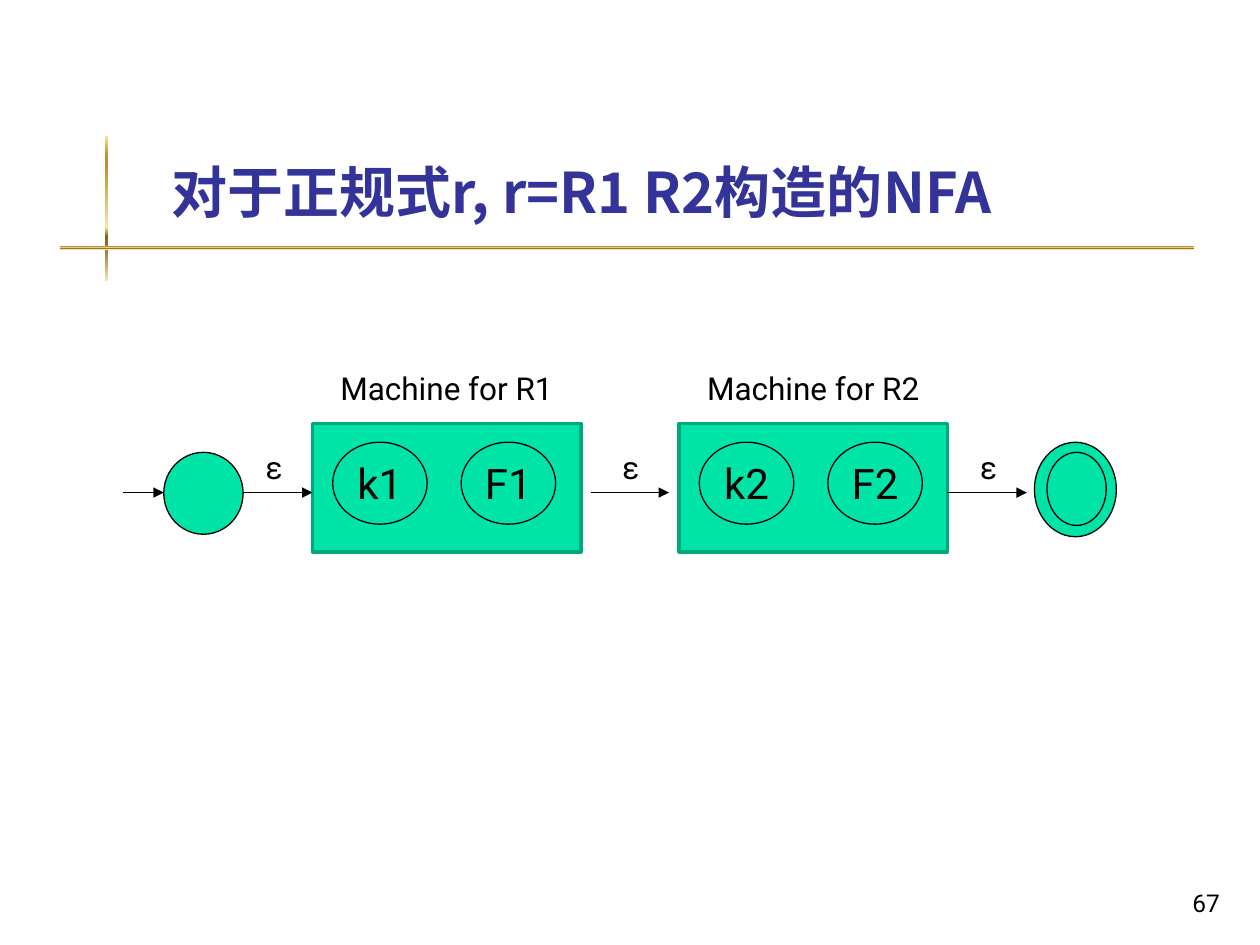
from typing import NamedTuple, Optional

from lxml import etree
from pptx import Presentation
from pptx import util as u
from pptx.dml.color import RGBColor
from pptx.enum import shapes as es, text as et
from pptx.oxml import ns

WIDTH, HEIGHT = u.Inches(10), u.Inches(7.5)
BLACK = RGBColor(0x00, 0x00, 0x00)
NAVY = RGBColor(0x33, 0x33, 0x99)
GREEN = RGBColor(0x00, 0xE4, 0xA8)
EDGE = RGBColor(0x00, 0xA9, 0x7C)
CREAM = RGBColor(0xFB, 0xE4, 0xAE)
GOLD = RGBColor(0xBD, 0x92, 0x2A)
BROWN = RGBColor(0x83, 0x5E, 0x17)
KHAKI = RGBColor(0xA2, 0x89, 0x49)
SAND = RGBColor(0xFA, 0xE3, 0xB7)
STOPS = ((0, CREAM), (13, GOLD), (21, GOLD), (63, CREAM),
         (67, GOLD), (69, BROWN), (82, KHAKI), (100, SAND))

BODY = {"name": "Roboto", "size": u.Pt(18), "bold": False}
STATE = {**BODY, "size": u.Pt(24)}
PAGE = {**BODY, "size": u.Pt(14)}
HEAD = {"name": "Noto Sans CJK JP", "size": u.Pt(32), "bold": True}
LEFT, MID, RIGHT = et.PP_ALIGN.LEFT, et.PP_ALIGN.CENTER, et.PP_ALIGN.RIGHT
TOP, CORE, BASE = et.MSO_ANCHOR.TOP, et.MSO_ANCHOR.MIDDLE, et.MSO_ANCHOR.BOTTOM
OVAL, RECT = es.MSO_SHAPE.OVAL, es.MSO_SHAPE.RECTANGLE

AXIS = 52.13
ROW = 46.8


class Box(NamedTuple):
    """Left, top, width and height in percent of the slide."""
    x: float
    y: float
    w: float
    h: float


class Machine(NamedTuple):
    x: float
    label: str
    states: tuple


class Arrow(NamedTuple):
    start: float
    end: float
    label_x: Optional[float] = None


MACHINES = (Machine(24.8, "Machine for R1", ("k1", "F1")),
            Machine(53.9, "Machine for R2", ("k2", "F2")))
ARROWS = (Arrow(9.8, 13), Arrow(19.3, 24.8, 20.1),
          Arrow(46.9, 53.1, 48.4), Arrow(75.2, 81.5, 76.8))
RULES = (Box(8.3, 14.4, 0.3, 15.33), Box(4.8, 26, 90, 0.4))
NODES = (Box(13, 47.87, 6.3, 8.67), Box(82.1, ROW, 6.5, 10),
         Box(83.1, 47.87, 4.7, 7.73))


def across(share: float) -> int:
    return round(WIDTH * share / 100)


def down(share: float) -> int:
    return round(HEIGHT * share / 100)


def frame(box: Box) -> tuple:
    return across(box.x), down(box.y), across(box.w), down(box.h)


def write(shape, words: str, style: dict, color: RGBColor, align, anchor,
          wrap: bool = True) -> None:
    area = shape.text_frame
    area.text = words
    area.word_wrap = wrap
    area.vertical_anchor = anchor
    para = area.paragraphs[0]
    para.alignment = align
    font = para.runs[0].font
    for key, value in style.items():
        setattr(font, key, value)
    font.color.rgb = color
    east = etree.SubElement(font._element, ns.qn("a:ea"))
    east.set("typeface", style["name"])


def label(slide, box: Box, words: str, style: dict, align, anchor=TOP) -> None:
    write(slide.shapes.add_textbox(*frame(box)), words, style, BLACK, align, anchor)


def solid(slide, kind, box: Box, edge: RGBColor = BLACK, weight: float = 0.75):
    shape = slide.shapes.add_shape(kind, *frame(box))
    shape.shadow.inherit = False
    shape.fill.solid()
    shape.fill.fore_color.rgb = GREEN
    shape.line.color.rgb = edge
    shape.line.width = u.Pt(weight)
    return shape


def rule(slide, box: Box) -> None:
    shape = slide.shapes.add_shape(RECT, *frame(box))
    shape.shadow.inherit = False
    shape.line.fill.background()
    shape.fill.gradient()
    shape.fill.gradient_angle = 270
    stops = shape._element.spPr.find(".//" + ns.qn("a:gsLst"))
    for old in list(stops):
        stops.remove(old)
    for place, color in STOPS:
        stop = etree.SubElement(stops, ns.qn("a:gs"), pos=str(place * 1000))
        etree.SubElement(stop, ns.qn("a:srgbClr"), val=str(color))


def arrow(slide, item: Arrow) -> None:
    line = slide.shapes.add_connector(
        es.MSO_CONNECTOR.STRAIGHT, across(item.start), down(AXIS),
        across(item.end), down(AXIS))
    line.line.color.rgb = BLACK
    line.line.width = u.Pt(0.75)
    etree.SubElement(line.line._get_or_add_ln(), ns.qn("a:tailEnd"), type="triangle")
    etree.SubElement(line._element.spPr, ns.qn("a:effectLst"))
    if item.label_x is not None:
        label(slide, Box(item.label_x, ROW, 3.1, 5.33), "ε", BODY, LEFT)


def machine(slide, item: Machine) -> None:
    solid(slide, RECT, Box(item.x, 44.8, 21.3, 13.6), EDGE, 2)
    label(slide, Box(item.x + 0.8, 38.4, 19.7, 5.33), item.label, BODY, MID)
    for col, name in enumerate(item.states):
        oval = solid(slide, OVAL, Box(item.x + 1.6 + 10.2 * col, ROW, 7.5, 8.67))
        write(oval, name, STATE, BLACK, MID, CORE, False)


def main() -> None:
    deck = Presentation()
    deck.slide_width, deck.slide_height = WIDTH, HEIGHT
    slide = deck.slides.add_slide(deck.slide_layouts[5])
    for box in RULES:
        rule(slide, box)
    title = slide.shapes.title
    title.left, title.top, title.width, title.height = frame(
        Box(12.6, 3.07, 85.2, 21.33))
    write(title, "对于正规式r, r=R1 R2构造的NFA", HEAD, NAVY, LEFT, BASE)
    label(slide, Box(77, 91.07, 20.8, 6.67), "67", PAGE, RIGHT, BASE)
    for item in MACHINES:
        machine(slide, item)
    for box in NODES:
        solid(slide, OVAL, box)
    for item in ARROWS:
        arrow(slide, item)
    deck.save("out.pptx")


if __name__ == "__main__":
    main()
